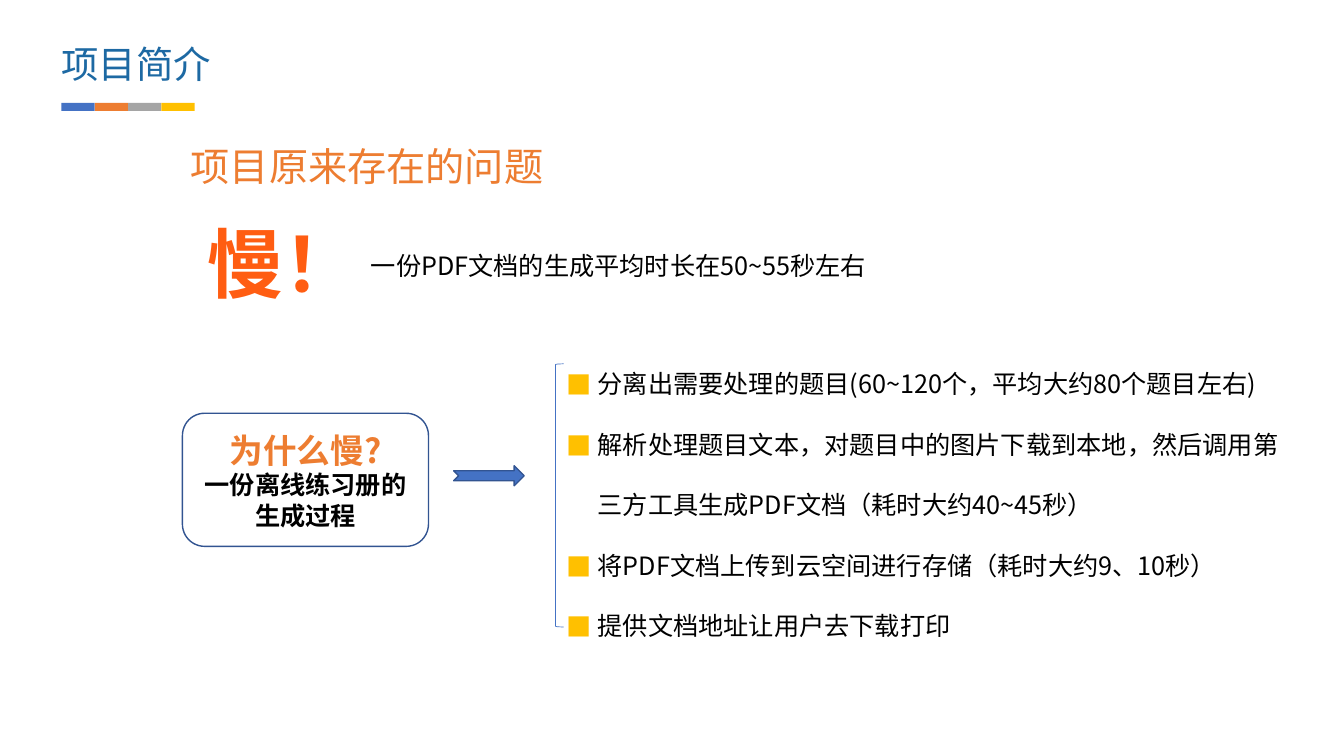
from lxml import etree
from pptx import Presentation
from pptx.dml.color import RGBColor
from pptx.enum.shapes import MSO_SHAPE as SHAPE
from pptx.enum.text import MSO_ANCHOR as ANCHOR, MSO_AUTO_SIZE as FIT, PP_ALIGN as ALIGN
from pptx.oxml import parse_xml
from pptx.oxml.ns import nsdecls, qn
from pptx.util import Inches, Pt

FONT = "Noto Sans CJK SC"
BLUE, ORANGE, GREY, GOLD, EDGE = "4472C4", "ED7D31", "A5A5A5", "FFC000", "325491"
SLOW_GRADIENT = [(0, "FFAC8E"), (75, "FF5D12"), (100, "D45600")]
STEPS = [
    "分离出需要处理的题目(60~120个，平均大约80个题目左右)",
    "解析处理题目文本，对题目中的图片下载到本地，然后调用第三方工具生成PDF文档（耗时大约40~45秒）",
    "将PDF文档上传到云空间进行存储（耗时大约9、10秒）",
    "提供文档地址让用户去下载打印",
]


def rgb(value):
    """Turn a hex string into a colour."""
    return RGBColor.from_string(value)


def add_shape(slide, kind, box, fill=None, line=None, width=1):
    """Add a preset shape with a flat fill and an optional outline."""
    s = slide.shapes.add_shape(kind, *map(Inches, box))
    s.shadow.inherit = False
    if fill:
        s.fill.solid()
        s.fill.fore_color.rgb = rgb(fill)
    else:
        s.fill.background()
    if line:
        s.line.color.rgb = rgb(line)
        s.line.width = Pt(width)
    else:
        s.line.fill.background()
    return s


def add_frame(slide, box, wrap=True, **margins):
    """Add a text box that grows with its text and return its frame."""
    tf = slide.shapes.add_textbox(*map(Inches, box)).text_frame
    formats = {"word_wrap": wrap, "auto_size": FIT.SHAPE_TO_FIT_TEXT, **margins}
    for name, value in formats.items():
        setattr(tf, name, value)
    return tf


def write(p, text, size, color="000000", bold=False, align=ALIGN.LEFT):
    """Write one formatted run into a paragraph."""
    p.alignment = align
    r = p.add_run()
    r.text = text
    for name, value in {"size": Pt(size), "bold": bold, "name": FONT}.items():
        setattr(r.font, name, value)
    r.font.color.rgb = rgb(color)
    etree.SubElement(r.font._element, qn("a:ea"), typeface=FONT)
    return r


def shade(r, stops):
    """Give a run a vertical gradient."""
    rPr = r.font._element
    colors = "".join(
        f'<a:gs pos="{pos * 1000}"><a:srgbClr val="{color}"/></a:gs>' for pos, color in stops)
    rPr.replace(rPr.find(qn("a:solidFill")), parse_xml(
        f'<a:gradFill {nsdecls("a")}><a:gsLst>{colors}</a:gsLst>'
        '<a:lin ang="5400000" scaled="0"/></a:gradFill>'))


def add_bullet(p, color, indent):
    """Give a paragraph a coloured square bullet with a hanging indent."""
    p.level = 1
    p.line_spacing = 2.0
    pPr = p._p.get_or_add_pPr()
    pPr.set("marL", str(Inches(indent)))
    pPr.set("indent", str(-Inches(indent)))
    bu_color = etree.SubElement(pPr, qn("a:buClr"))
    etree.SubElement(bu_color, qn("a:srgbClr"), val=color)
    etree.SubElement(pPr, qn("a:buFont"), typeface=FONT)
    etree.SubElement(pPr, qn("a:buChar"), char="■")


def add_header(slide, x, y):
    """Place the slide title above its four-colour bar."""
    tf = add_frame(slide, (x, y, 6, 0.45), margin_left=0, margin_top=0,
                   margin_right=0, margin_bottom=0)
    write(tf.paragraphs[0], "项目简介", 26.7, "1D69A3")
    step = 0.33
    for i, color in enumerate((BLUE, ORANGE, GREY, GOLD)):
        add_shape(slide, SHAPE.RECTANGLE, (x + i * step, y + 0.61, step, 0.08), color)


def add_problem(slide, x, y):
    """Place the problem heading, the large verdict and its explanation."""
    tf = add_frame(slide, (x, y, 3.74, 0.57), wrap=False)
    write(tf.paragraphs[0], "项目原来存在的问题", 28, ORANGE, align=ALIGN.CENTER)
    tf = add_frame(slide, (x + 0.18, y + 0.74, 1.72, 1.01), wrap=False)
    r = write(tf.paragraphs[0], "慢！", 54, bold=True, align=ALIGN.CENTER)
    shade(r, SLOW_GRADIENT)
    tf = add_frame(slide, (x + 1.81, y + 1.07, 5.12, 0.4))
    write(tf.paragraphs[0], "一份PDF文档的生成平均时长在50~55秒左右", 18)


def add_question(slide, x, y):
    """Place the question card and the arrow leading from it."""
    card = add_shape(slide, SHAPE.ROUNDED_RECTANGLE, (x, y, 2.44, 1.32), "FFFFFF", EDGE)
    tf = card.text_frame
    tf.word_wrap = True
    tf.vertical_anchor = ANCHOR.MIDDLE
    write(tf.paragraphs[0], "为什么慢?", 24, ORANGE, True, ALIGN.CENTER)
    write(tf.add_paragraph(), "一份离线练习册的生成过程", 18, bold=True, align=ALIGN.CENTER)
    add_shape(slide, SHAPE.NOTCHED_RIGHT_ARROW, (x + 2.69, y + 0.52, 0.7, 0.2), BLUE, EDGE)


def add_steps(slide, x, y):
    """Place the bulleted steps with a bracket on their left."""
    tf = add_frame(slide, (x, y, 7.46, 3.13))
    for i, step in enumerate(STEPS):
        p = tf.add_paragraph() if i else tf.paragraphs[0]
        add_bullet(p, GOLD, 0.31)
        write(p, step, 18)
    add_shape(slide, SHAPE.LEFT_BRACKET, (x - 0.01, y + 0.3, 0.08, 2.61), line=BLUE, width=0.5)


def main():
    """Build the slide and save it."""
    prs = Presentation()
    prs.slide_width, prs.slide_height = Inches(13.33), Inches(7.5)
    slide = prs.slides.add_slide(prs.slide_layouts[6])
    add_header(slide, 0.61, 0.41)
    add_problem(slide, 1.77, 1.36)
    add_question(slide, 1.81, 4.1)
    add_steps(slide, 5.52, 3.31)
    prs.save("out.pptx")


if __name__ == "__main__":
    main()
